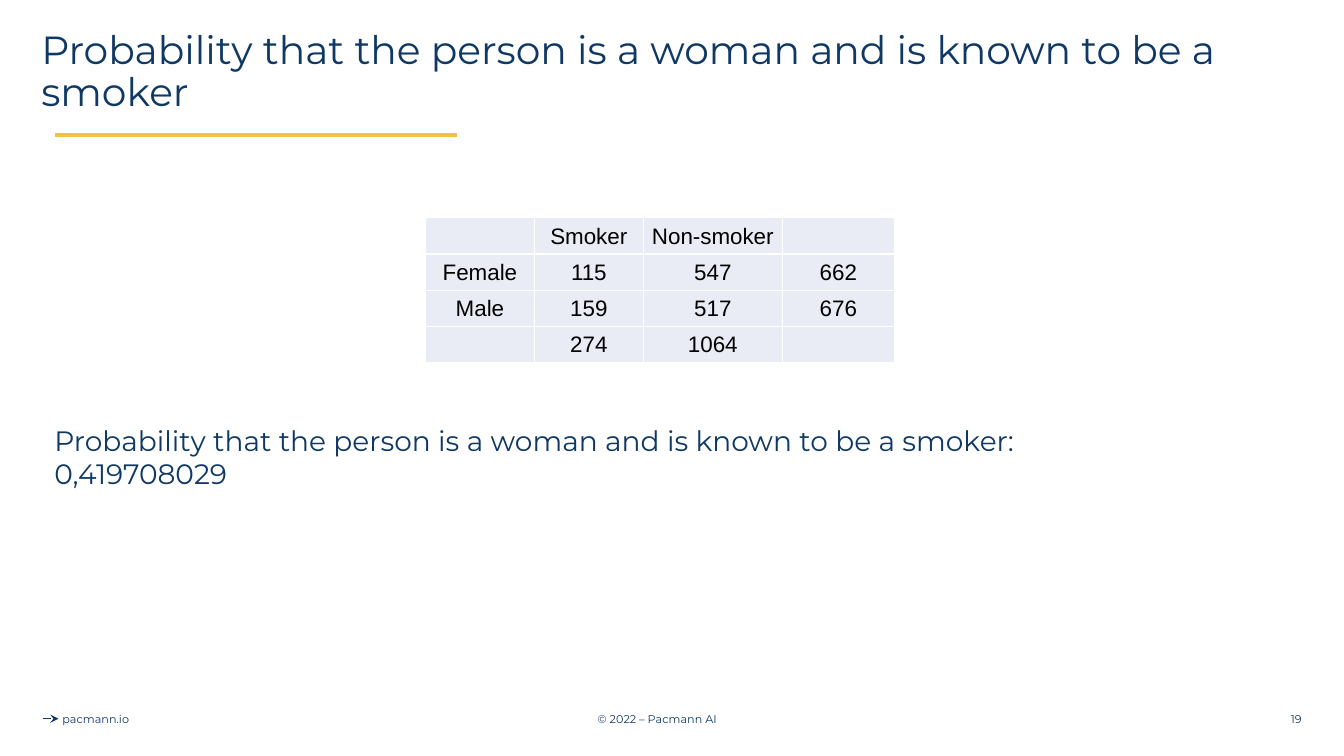
from dataclasses import dataclass

from lxml.etree import SubElement
from pptx import Presentation
from pptx.dml.color import RGBColor
from pptx.enum.shapes import MSO_CONNECTOR
from pptx.enum.text import MSO_ANCHOR, MSO_AUTO_SIZE, PP_ALIGN
from pptx.oxml.ns import qn
from pptx.slide import Slide
from pptx.text.text import TextFrame
from pptx.util import Inches, Pt

NAVY = RGBColor(0x10, 0x38, 0x64)
GOLD = RGBColor(0xF3, 0xC1, 0x45)
PALE = RGBColor(0xE9, 0xEB, 0xF5)
BLACK = RGBColor(0, 0, 0)

COUNTS = [
    ["", "Smoker", "Non-smoker", ""],
    ["Female", "115", "547", "662"],
    ["Male", "159", "517", "676"],
    ["", "274", "1064", ""],
]
WIDTHS = [1.08, 1.08, 1.38, 1.11]
ROW = 0.36


@dataclass
class Note:
    text: str
    left: float
    width: float
    align: PP_ALIGN


@dataclass
class Rule:
    left: float
    right: float
    top: float
    color: RGBColor
    weight: float
    arrow: bool = False


NOTES = [
    Note("© 2022 – Pacmann AI", 4.27, 4.5, PP_ALIGN.CENTER),
    Note("pacmann.io", -1.3, 4.5, PP_ALIGN.CENTER),
    Note("19", 10.01, 3, PP_ALIGN.RIGHT),
]
RULES = [
    Rule(0.43, 0.58, 7.13, NAVY, 0.75, arrow=True),
    Rule(0.55, 4.53, 1.34, GOLD, 2.25),
]


def write(frame: TextFrame, text: str, *, size: float, font: str = "Montserrat",
          color: RGBColor = NAVY, align: PP_ALIGN = PP_ALIGN.LEFT,
          anchor: MSO_ANCHOR = MSO_ANCHOR.MIDDLE, space: float = 1) -> None:
    """Fill a frame, one paragraph per line of text."""
    frame.word_wrap = True
    frame.vertical_anchor = anchor
    frame.text = text
    for para in frame.paragraphs:
        para.alignment = align
        para.line_spacing = space
        para.font.size = Pt(size)
        for run in para.runs:
            run.font.size = Pt(size)
            run.font.name = font
            run.font.color.rgb = color


def add_box(slide: Slide, left: float, top: float, width: float, height: float) -> TextFrame:
    box = slide.shapes.add_textbox(Inches(left), Inches(top), Inches(width), Inches(height))
    return box.text_frame


def add_rule(slide: Slide, rule: Rule) -> None:
    line = slide.shapes.add_connector(
        MSO_CONNECTOR.STRAIGHT, Inches(rule.left), Inches(rule.top),
        Inches(rule.right), Inches(rule.top))
    line.line.color.rgb = rule.color
    line.line.width = Pt(rule.weight)
    if rule.arrow:
        SubElement(line.line._get_or_add_ln(), qn("a:tailEnd"), type="stealth")
    SubElement(line._element.spPr, qn("a:effectLst"))


def add_title(slide: Slide) -> None:
    title = slide.shapes.title
    title.left, title.top = Inches(0.31), Inches(0)
    title.width, title.height = Inches(12.47), Inches(1.45)
    title.text_frame.auto_size = MSO_AUTO_SIZE.NONE
    write(title.text_frame,
          "Probability that the person is a woman and is known to be a smoker",
          size=28, space=0.9)


def add_counts(slide: Slide) -> None:
    table = slide.shapes.add_table(
        len(COUNTS), len(WIDTHS), Inches(4.22), Inches(2.16),
        Inches(sum(WIDTHS)), Inches(ROW * len(COUNTS))).table
    table.first_row = table.horz_banding = False
    for col, width in zip(table.columns, WIDTHS):
        col.width = Inches(width)
    for row, texts in zip(table.rows, COUNTS):
        row.height = Inches(ROW)
        for cell, text in zip(row.cells, texts):
            cell.fill.solid()
            cell.fill.fore_color.rgb = PALE
            cell.margin_left = cell.margin_right = cell.margin_top = Inches(0.01)
            cell.margin_bottom = 0
            write(cell.text_frame, text, size=16, font="Arial", color=BLACK,
                  align=PP_ALIGN.CENTER)
            cell.vertical_anchor = MSO_ANCHOR.MIDDLE


def add_answer(slide: Slide) -> None:
    frame = add_box(slide, 0.33, 4.15, 12.46, 0.77)
    frame.margin_left = Inches(0.21)
    write(frame,
          "Probability that the person is a woman and is known to be a smoker:\n0,419708029",
          size=20, anchor=MSO_ANCHOR.TOP)


def main() -> None:
    deck = Presentation()
    deck.slide_width, deck.slide_height = Inches(13.33), Inches(7.5)
    slide = deck.slides.add_slide(deck.slide_layouts.get_by_name("Title Only"))
    for rule in RULES:
        add_rule(slide, rule)
    for note in NOTES:
        write(add_box(slide, note.left, 6.93, note.width, 0.4), note.text,
              size=8, align=note.align)
    add_title(slide)
    add_counts(slide)
    add_answer(slide)
    deck.save("out.pptx")


if __name__ == "__main__":
    main()
